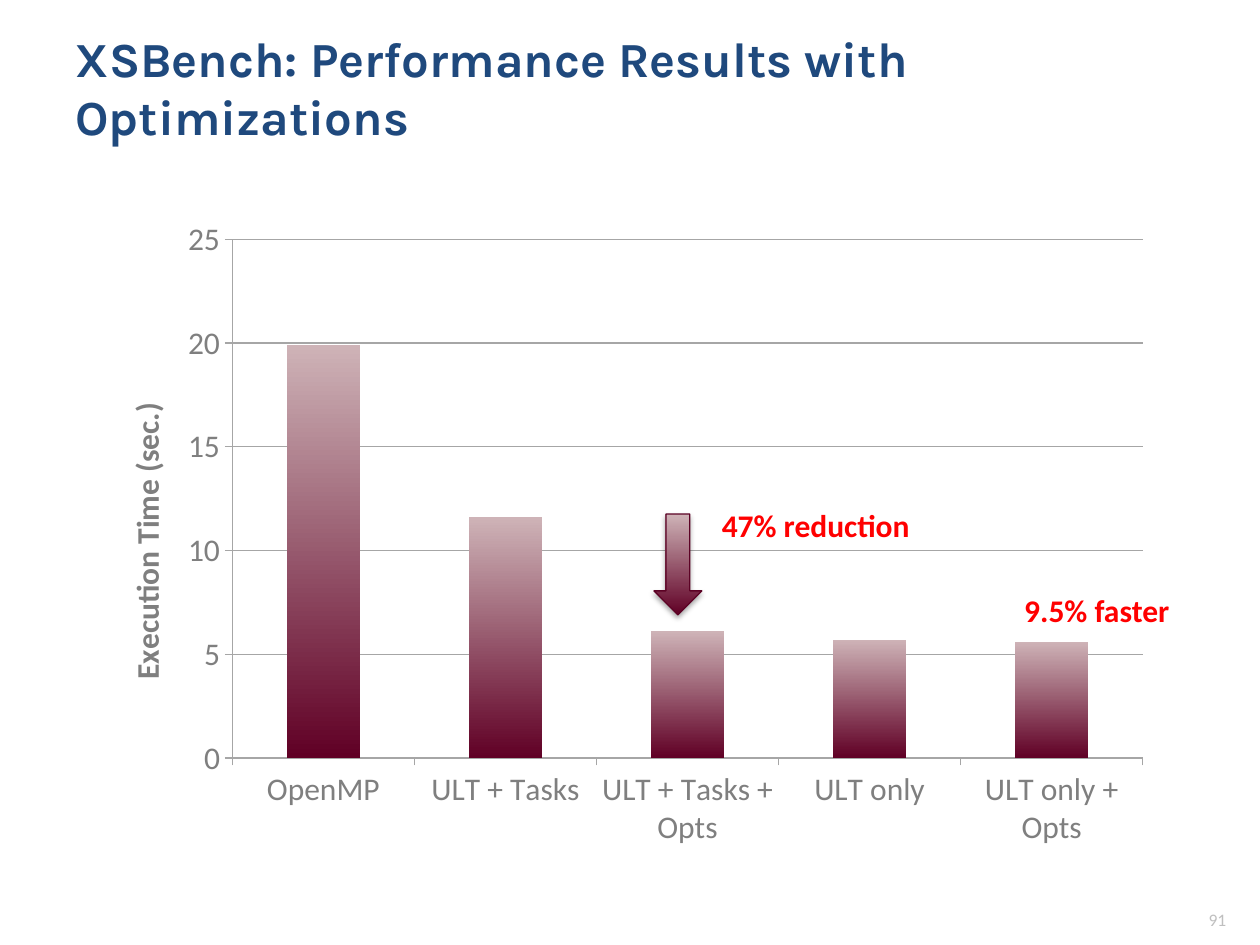
from dataclasses import dataclass

from lxml.etree import SubElement
from pptx import Presentation
from pptx.chart.data import CategoryChartData
from pptx.dml.color import RGBColor
from pptx.enum.chart import XL_CHART_TYPE, XL_TICK_MARK
from pptx.enum.shapes import MSO_SHAPE
from pptx.enum.text import MSO_ANCHOR, MSO_AUTO_SIZE, PP_ALIGN
from pptx.oxml import parse_xml
from pptx.oxml.ns import nsdecls, qn
from pptx.util import Inches, Pt


@dataclass(frozen=True)
class Theme:
    """Colours, fonts and type sizes of the slide."""
    navy: str = "1F497D"
    gray: str = "7F7F7F"
    rule: str = "A6A6A6"
    pale: str = "BFBFBF"
    red: str = "FF0000"
    wine: str = "600025"
    edge: str = "5C0225"
    rose: str = "CEB3B7"
    head: str = "Karla"
    body: str = "Calibri"
    title: int = 28
    text: int = 18
    small: int = 10


THEME = Theme()


def box(*dims):
    """Turn left, top, width and height into lengths."""
    return [Inches(d) for d in dims]


def style(font, name, size, color, bold=False):
    """Set the face, size, colour and weight of a font."""
    font.name, font.size, font.bold = name, Pt(size), bold
    font.color.rgb = RGBColor.from_string(color)


def shade(fill):
    """Fill with wine at the foot, fading to rose at the top."""
    fill.gradient()
    fill.gradient_angle = 90
    for stop, color in zip(fill.gradient_stops, (THEME.wine, THEME.rose)):
        stop.color.rgb = RGBColor.from_string(color)


def place(node, index, **spots):
    """Give a chart part a manual layout."""
    for old in node.findall(qn("c:layout")):
        node.remove(old)
    layout = parse_xml(f"<c:layout {nsdecls('c')}><c:manualLayout/></c:layout>")
    for tag, val in spots.items():
        SubElement(layout[0], qn(f"c:{tag}")).set("val", str(val))
    node.insert(index, layout)


def add_title(slide, text):
    """Fill and move the title placeholder."""
    title = slide.shapes.title
    title.left, title.top, title.width, title.height = box(0.5, 0.3, 9, 0.78)
    frame = title.text_frame
    frame.text, frame.word_wrap = text, True
    frame.auto_size = MSO_AUTO_SIZE.NONE
    frame.vertical_anchor = MSO_ANCHOR.MIDDLE
    para = frame.paragraphs[0]
    para.alignment = PP_ALIGN.LEFT
    style(para.font, THEME.head, THEME.title, THEME.navy, True)


def add_chart(slide, times):
    """Add the column chart of execution times."""
    data = CategoryChartData()
    data.categories = list(times)
    data.add_series("Series 1", list(times.values()))
    chart = slide.shapes.add_chart(
        XL_CHART_TYPE.COLUMN_CLUSTERED, *box(0.69, 1.65, 8.55, 5.18), data).chart
    chart.has_legend = chart.has_title = False
    style(chart.font, THEME.body, THEME.text, THEME.gray)
    plot = chart.plots[0]
    plot.gap_width, plot.vary_by_categories = 150, False
    shade(plot.series[0].format.fill)

    axis = chart.value_axis
    axis.minimum_scale, axis.maximum_scale, axis.major_unit = 0, 25, 5
    for part in (axis, chart.category_axis, axis.major_gridlines):
        part.format.line.color.rgb = RGBColor.from_string(THEME.rule)
        part.format.line.width = Pt(0.75)
    for part in (axis, chart.category_axis):
        part.major_tick_mark = XL_TICK_MARK.OUTSIDE
        part.minor_tick_mark = XL_TICK_MARK.NONE

    title = axis.axis_title
    frame = title.text_frame
    frame.text = "Execution Time (sec.)"
    style(frame.paragraphs[0].font, THEME.body, THEME.text, THEME.gray, True)
    body = frame._txBody.bodyPr
    body.set("rot", "-5400000")
    body.set("vert", "horz")
    place(title._element, 1, xMode="edge", yMode="edge", x=0.03, y=0.29)
    place(chart._chartSpace.chart.plotArea, 0, layoutTarget="inner",
          xMode="edge", yMode="edge", x=0.135, y=0.048, w=0.845, h=0.795)


def add_arrow(slide, dims):
    """Add a shaded down arrow with a soft shadow."""
    arrow = slide.shapes.add_shape(MSO_SHAPE.DOWN_ARROW, *box(*dims))
    shade(arrow.fill)
    arrow.line.color.rgb = RGBColor.from_string(THEME.edge)
    arrow.line.width = Pt(0.75)
    arrow.shadow.inherit = False
    effects = arrow._element.spPr.find(qn("a:effectLst"))
    effects.append(parse_xml(
        f'<a:outerShdw {nsdecls("a")} blurRad="{Pt(3.1)}" dist="{Pt(1.8)}" '
        'dir="5400000" rotWithShape="0"><a:srgbClr val="000000">'
        '<a:alpha val="35000"/></a:srgbClr></a:outerShdw>'))


def add_note(slide, text, dims):
    """Add a bold red remark on one line."""
    frame = slide.shapes.add_textbox(*box(*dims)).text_frame
    frame.text, frame.word_wrap = text, False
    frame.auto_size = MSO_AUTO_SIZE.SHAPE_TO_FIT_TEXT
    style(frame.paragraphs[0].font, THEME.body, THEME.text, THEME.red, True)


def add_number(slide, text):
    """Add the page number at the lower right."""
    frame = slide.shapes.add_textbox(*box(7.5, 7.1, 2.33, 0.4)).text_frame
    frame.text, frame.word_wrap = text, True
    frame.vertical_anchor = MSO_ANCHOR.MIDDLE
    para = frame.paragraphs[0]
    para.alignment = PP_ALIGN.RIGHT
    style(para.font, THEME.body, THEME.small, THEME.pale)


def main():
    """Build and save the slide."""
    deck = Presentation()
    deck.slide_width, deck.slide_height = Inches(10), Inches(7.5)
    slide = deck.slides.add_slide(deck.slide_layouts[5])
    add_title(slide, "XSBench: Performance Results with Optimizations")
    add_chart(slide, {"OpenMP": 19.9, "ULT + Tasks": 11.6,
                      "ULT + Tasks + Opts": 6.1, "ULT only": 5.7,
                      "ULT only + Opts": 5.6})
    add_arrow(slide, (5.19, 4.08, 0.38, 0.8))
    add_note(slide, "47% reduction", (5.63, 3.97, 1.71, 0.4))
    add_note(slide, "9.5% faster", (8.03, 4.64, 1.38, 0.4))
    add_number(slide, "91")
    deck.save("out.pptx")


if __name__ == "__main__":
    main()
